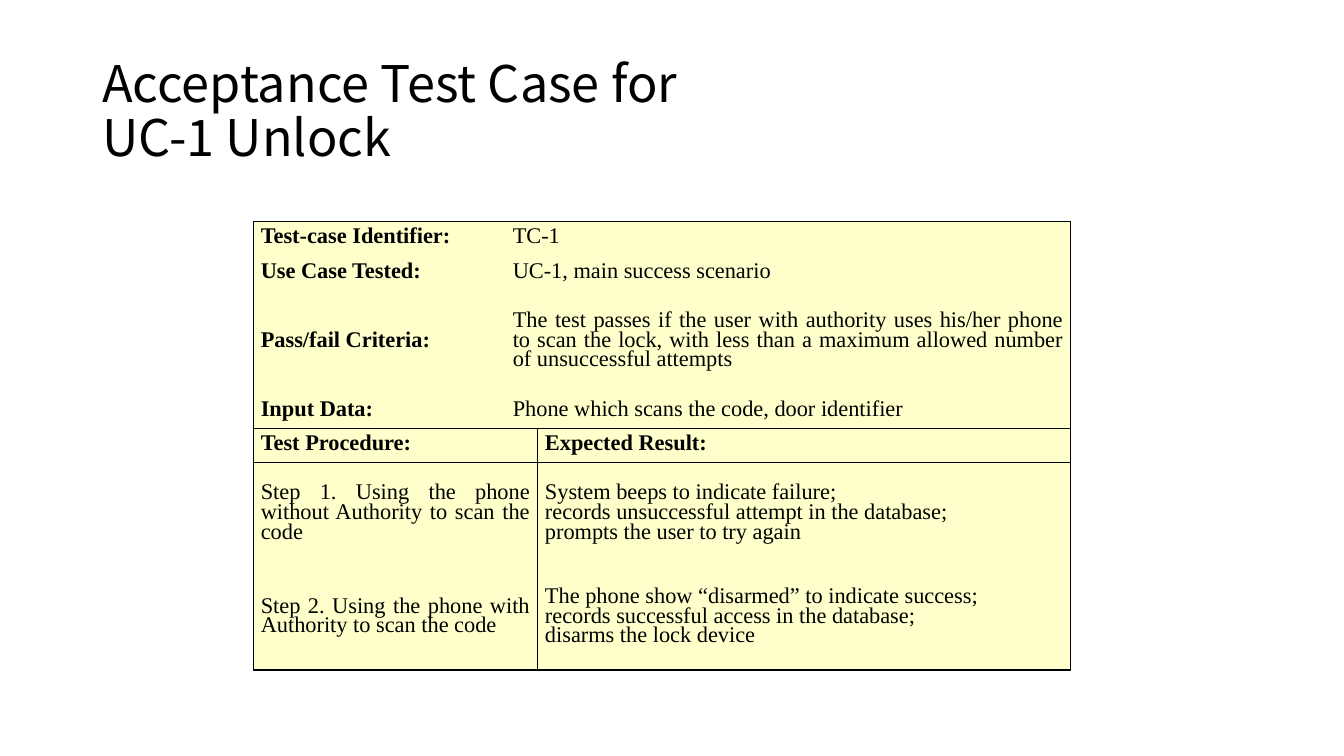
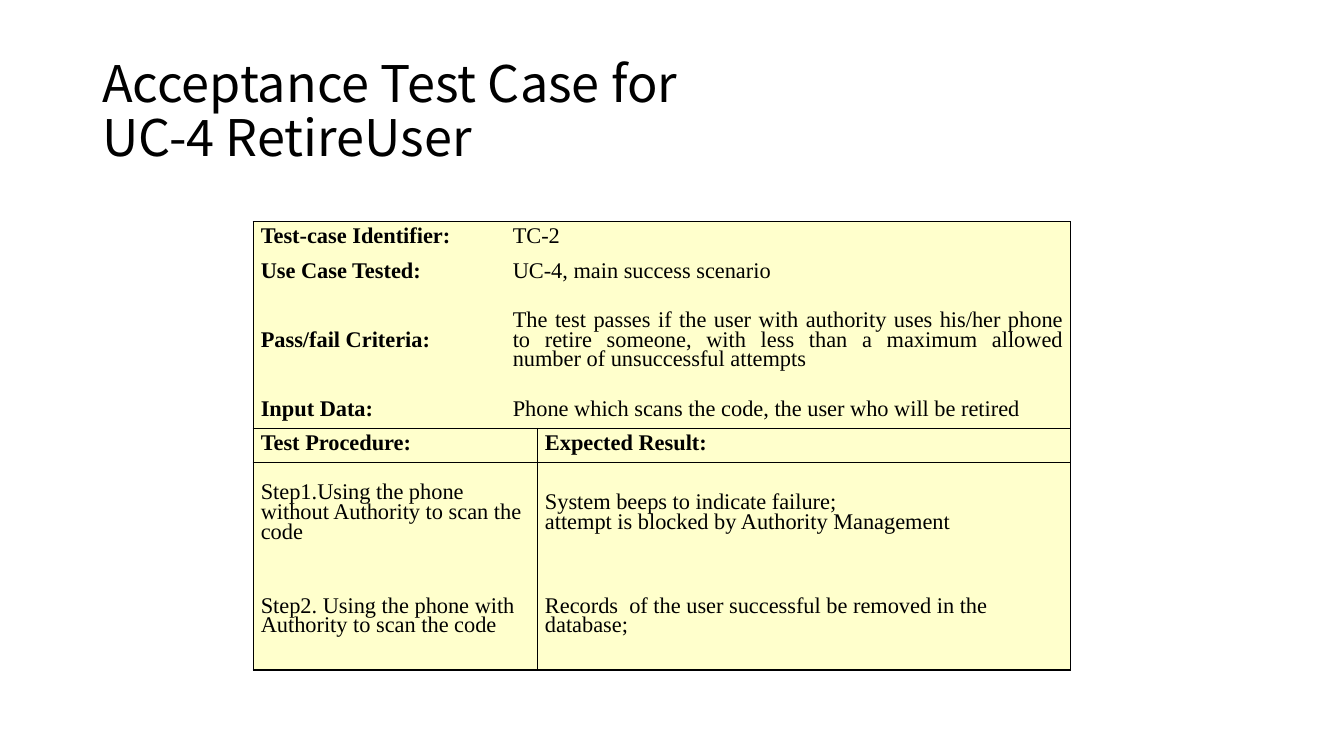
import dataclasses
import typing

import lxml.etree
import pptx
import pptx.dml.color
import pptx.enum.text
import pptx.oxml.ns
import pptx.util

Pt = pptx.util.Pt
Align = pptx.enum.text.PP_ALIGN
Anchor = pptx.enum.text.MSO_ANCHOR


@dataclasses.dataclass(frozen=True)
class Theme:
    ink: str = "000000"
    paper: str = "FFFFFF"
    cream: str = "FFFFCC"
    head_font: str = "Noto Sans CJK SC"
    body_font: str = "Times New Roman"
    head_size: float = 36
    body_size: float = 16
    pitch: float = 14
    gap: float = 6
    rule: float = 1
    inset: float = 5.4


@dataclasses.dataclass(frozen=True)
class Step:
    action: str
    result: str


@dataclasses.dataclass(frozen=True)
class Case:
    title: str
    facts: tuple[str, ...]
    steps: tuple[Step, ...]
    align: Align


class Entry(typing.NamedTuple):
    row: int
    first: int
    last: int
    text: str
    sides: str
    bold: bool = False
    align: Align = Align.JUSTIFY


THEME = Theme()
LABELS = ("Test-case Identifier:", "Use Case Tested:", "Pass/fail Criteria:", "Input Data:")
COLS = (180, 23, 381)
SHORT, TALL = 24.6, 74
ROWS = (SHORT, SHORT, TALL, SHORT, SHORT, TALL, TALL)

CASES = (
    Case(
        "Acceptance Test Case for\nUC-1 Unlock",
        (
            "TC-1",
            "UC-1, main success scenario",
            "The test passes if the user with authority uses his/her phone to scan the lock, "
            "with less than a maximum allowed number of unsuccessful attempts",
            "Phone which scans the code, door identifier",
        ),
        (
            Step(
                "Step 1. Using the phone without Authority to scan the code",
                "System beeps to indicate failure;\n"
                "records unsuccessful attempt in the database;\n"
                "prompts the user to try again",
            ),
            Step(
                "Step 2. Using the phone with Authority to scan the code",
                "The phone show “disarmed” to indicate success;\n"
                "records successful access in the database;\n"
                "disarms the lock device",
            ),
        ),
        Align.JUSTIFY,
    ),
    Case(
        "Acceptance Test Case for\nUC-4 RetireUser",
        (
            "TC-2",
            "UC-4, main success scenario",
            "The test passes if the user with authority uses his/her phone to retire someone, "
            "with less than a maximum allowed number of unsuccessful attempts",
            "Phone which scans the code, the user who will be retired",
        ),
        (
            Step(
                "Step1.Using the phone without Authority to scan the code",
                "System beeps to indicate failure;\nattempt is blocked by Authority Management",
            ),
            Step(
                "Step2. Using the phone with Authority to scan the code",
                "Records  of the user successful be removed in the database;",
            ),
        ),
        Align.LEFT,
    ),
)


def tint(code: str) -> pptx.dml.color.RGBColor:
    return pptx.dml.color.RGBColor.from_string(code)


def write(frame, text: str, *, font: str, size: float, space: float | pptx.util.Length,
          bold: bool = False, align: Align = Align.LEFT, before: float = 0) -> None:
    para = frame.paragraphs[0]
    para.text = text
    para.alignment = align
    para.line_spacing = space
    para.space_before = Pt(before)
    for run in para.runs:
        run.font.name = font
        run.font.size = Pt(size)
        run.font.bold = bold
        run.font.color.rgb = tint(THEME.ink)


def edge(cell, sides: str) -> None:
    props = cell._tc.get_or_add_tcPr()
    name = pptx.oxml.ns.qn
    for side in "LRTB":
        line = lxml.etree.SubElement(props, name(f"a:ln{side}"))
        if side in sides:
            line.set("w", str(Pt(THEME.rule)))
            fill = lxml.etree.SubElement(line, name("a:solidFill"))
            lxml.etree.SubElement(fill, name("a:srgbClr"), val=THEME.ink)
        else:
            lxml.etree.SubElement(line, name("a:noFill"))


def plan(case: Case) -> list[Entry]:
    items = []
    end = len(LABELS) - 1
    for row, (label, fact) in enumerate(zip(LABELS, case.facts)):
        cap = {0: "T", end: "B"}.get(row, "")
        items.append(Entry(row, 0, 0, label, "L" + cap, True))
        items.append(Entry(row, 1, 2, fact, "R" + cap))
    head = len(LABELS)
    items.append(Entry(head, 0, 1, "Test Procedure:", "LRTB", True))
    items.append(Entry(head, 2, 2, "Expected Result:", "LRTB", True))
    for row, (step, cap) in enumerate(zip(case.steps, "TB"), head + 1):
        items.append(Entry(row, 0, 1, step.action, "LR" + cap, align=case.align))
        items.append(Entry(row, 2, 2, step.result, "LR" + cap, align=Align.LEFT))
    return items


def place(grid, item: Entry) -> None:
    cells = [grid.cell(item.row, col) for col in range(item.first, item.last + 1)]
    if len(cells) > 1:
        cells[0].merge(cells[-1])
    for cell in cells:
        edge(cell, item.sides)
        cell.fill.solid()
        cell.fill.fore_color.rgb = tint(THEME.cream)
        cell.margin_left = cell.margin_right = Pt(THEME.inset)
        cell.margin_top = cell.margin_bottom = Pt(0)
        cell.vertical_anchor = Anchor.MIDDLE
    write(cells[0].text_frame, item.text, font=THEME.body_font, size=THEME.body_size,
          space=Pt(THEME.pitch), bold=item.bold, align=item.align, before=THEME.gap)


def draw(deck, case: Case) -> None:
    slide = deck.slides.add_slide(deck.slide_layouts[6])
    slide.background.fill.solid()
    slide.background.fill.fore_color.rgb = tint(THEME.paper)
    frame = slide.shapes.add_textbox(Pt(66), Pt(28.75), Pt(828), Pt(104.4)).text_frame
    frame.word_wrap = True
    frame.vertical_anchor = Anchor.MIDDLE
    write(frame, case.title, font=THEME.head_font, size=THEME.head_size, space=0.9)

    grid = slide.shapes.add_table(len(ROWS), len(COLS), Pt(180.9), Pt(158.3),
                                  Pt(sum(COLS)), Pt(sum(ROWS))).table
    grid.first_row = grid.horz_banding = False
    for col, width in zip(grid.columns, COLS):
        col.width = Pt(width)
    for row, height in zip(grid.rows, ROWS):
        row.height = Pt(height)
    for item in plan(case):
        place(grid, item)


def main() -> None:
    deck = pptx.Presentation()
    deck.slide_width, deck.slide_height = Pt(960), Pt(540)
    for case in CASES:
        draw(deck, case)
    deck.save("out.pptx")


if __name__ == "__main__":
    main()
